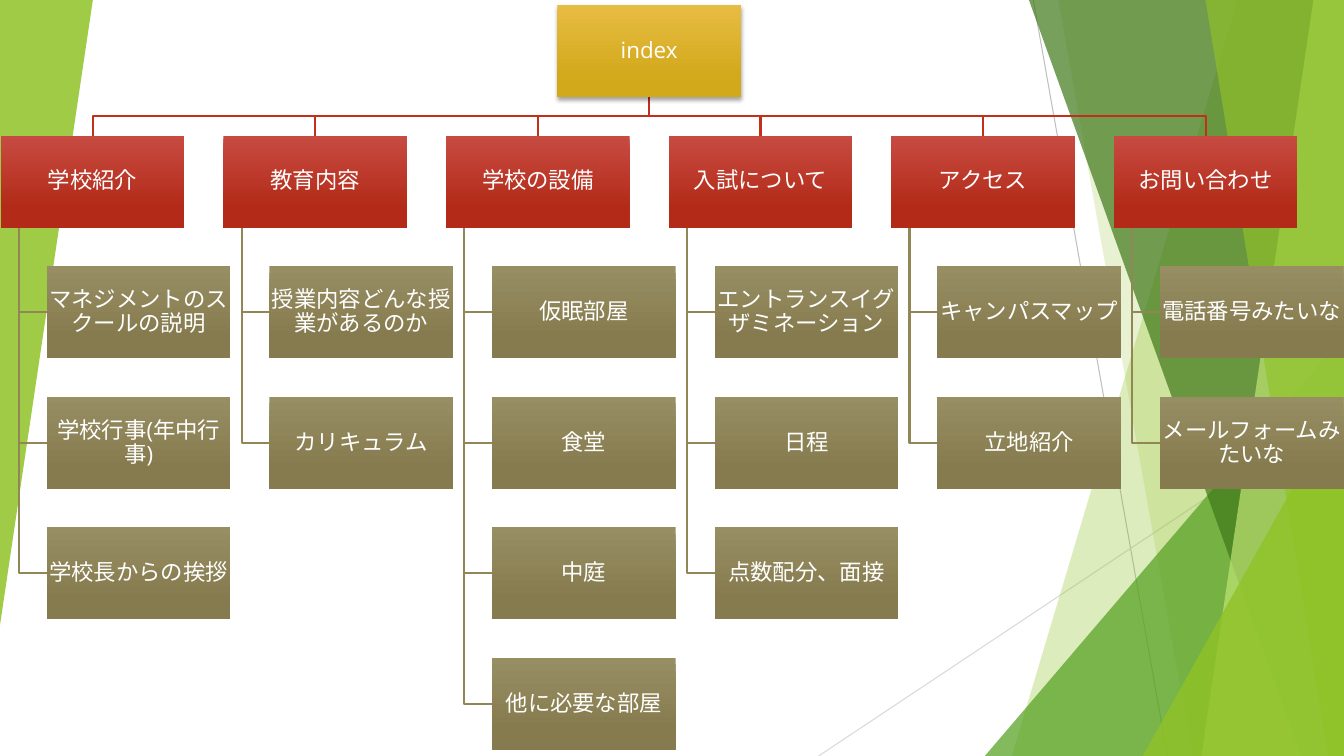
"""Build a school website site map as a three-level tree over green facets."""
from lxml import etree
from pptx import Presentation, util as u
from pptx.dml.color import RGBColor
from pptx.enum import lang, shapes, text
from pptx.oxml.ns import qn

ROOT = "index"
SECTIONS = {
    "学校紹介": ["マネジメントのスクールの説明", "学校行事(年中行事)", "学校長からの挨拶"],
    "教育内容": ["授業内容どんな授業があるのか", "カリキュラム"],
    "学校の設備": ["仮眠部屋", "食堂", "中庭", "他に必要な部屋"],
    "入試について": ["エントランスイグザミネーション", "日程", "点数配分、面接"],
    "アクセス": ["キャンパスマップ", "立地紹介"],
    "お問い合わせ": ["電話番号みたいな", "メールフォームみたいな"],
}
GOLD, RED, OLIVE = ("E7BC43", "D2A91B"), ("C74B42", "B32B18"), ("988E64", "857B4E")
RED_LINE, OLIVE_LINE = "C42F1A", "918655"

SLIDE_W, SLIDE_H = 33.87, 19.05
BOX_W, BOX_H = 4.63, 2.32
LEFT, COL_STEP, ROW_STEP = 0.02, 5.61, 3.29
ROOT_Y = 0.13
HEAD_Y = ROOT_Y + ROW_STEP
INDENT, TRUNK = 1.16, 0.46

RULES = [(26.04, 0, 29.42, SLIDE_H, "BFBFBF"), (SLIDE_W, 10.24, 20.63, SLIDE_H, "D9D9D9")]
FACETS = [
    ("band", 31.19, 25.5, "90C226", 30),
    ("band", 26.67, 30.05, "90C226", 20),
    ("corner", 24.82, 8.46, "54A021", 72),
    ("band", 25.93, 32.79, "3F7819", 70),
    ("band", 33.1, 30.28, "C0E474", 70),
    ("band", 30.38, 33.48, "90C226", 65),
    ("corner", 28.8, 9.98, "90C226", 80),
]


def color(value):
    return RGBColor.from_string(value)


def add_path(s, points, closed):
    (x, y), *rest = [(u.Cm(x), u.Cm(y)) for x, y in points]
    builder = s.shapes.build_freeform(x, y)
    builder.add_line_segments(rest, close=closed)
    sp = builder.convert_to_shape()
    sp.shadow.inherit = False
    return sp


def add_preset(s, kind, x, y, w, h):
    sp = s.shapes.add_shape(kind, u.Cm(x), u.Cm(y), u.Cm(w), u.Cm(h))
    sp.shadow.inherit = False
    sp.line.fill.background()
    return sp


def add_triangle(s, x, y, w, h):
    sp = add_preset(s, shapes.MSO_SHAPE.ISOSCELES_TRIANGLE, x, y, w, h)
    sp.adjustments[0] = 1
    return sp


def tint(sp, value, opacity):
    sp.line.fill.background()
    sp.fill.solid()
    sp.fill.fore_color.rgb = color(value)
    rgb = sp._element.spPr.find(qn("a:solidFill"))[0]
    etree.SubElement(rgb, qn("a:alpha"), val=str(opacity * 1000))


def add_rule(s, x1, y1, x2, y2, value):
    line = s.shapes.add_connector(
        shapes.MSO_CONNECTOR.STRAIGHT, u.Cm(x1), u.Cm(y1), u.Cm(x2), u.Cm(y2))
    line.line.color.rgb = color(value)
    line.line.width = u.Pt(0.75)
    etree.SubElement(line._element.spPr, qn("a:effectLst"))


def add_backdrop(s):
    for rule in RULES:
        add_rule(s, *rule)
    for kind, a, b, value, opacity in FACETS:
        if kind == "band":
            sp = add_path(s, [(a, 0), (SLIDE_W, 0), (SLIDE_W, SLIDE_H), (b, SLIDE_H)], True)
        else:
            sp = add_triangle(s, a, b, SLIDE_W - a, SLIDE_H - b)
        tint(sp, value, opacity)
    left = add_triangle(s, 0, 0, 2.34, 15.75)
    left.rotation = 180
    tint(left, "90C226", 85)


def add_branch(s, points, value):
    sp = add_path(s, points, False)
    sp.fill.background()
    sp.line.color.rgb = color(value)
    sp.line.width = u.Pt(1.5)


def add_box(s, label, x, y, shades):
    sp = add_preset(s, shapes.MSO_SHAPE.RECTANGLE, x, y, BOX_W, BOX_H)
    sp.fill.gradient()
    sp.fill.gradient_angle = 270
    for stop, position, shade in zip(sp.fill.gradient_stops, (0, 0.78), shades):
        stop.position = position
        stop.color.rgb = color(shade)
    tf = sp.text_frame
    tf.text = label
    tf.word_wrap = True
    tf.vertical_anchor = text.MSO_ANCHOR.MIDDLE
    tf.margin_left = tf.margin_right = tf.margin_top = tf.margin_bottom = u.Cm(0.03)
    p = tf.paragraphs[0]
    p.alignment = text.PP_ALIGN.CENTER
    p.line_spacing = 0.9
    font = p.runs[0].font
    font.name, font.size = "Open Sans", u.Pt(16)
    font.color.rgb = color("FFFFFF")
    font.language_id = lang.MSO_LANGUAGE_ID.JAPANESE
    return sp


def add_shadow(sp):
    effects = sp._element.spPr.find(qn("a:effectLst"))
    shadow = etree.SubElement(effects, qn("a:outerShdw"), blurRad=str(u.Pt(3)),
                              dist=str(u.Pt(2)), dir="5400000", rotWithShape="0")
    rgb = etree.SubElement(shadow, qn("a:srgbClr"), val="000000")
    etree.SubElement(rgb, qn("a:alpha"), val="35000")


def add_tree(s):
    root_x = LEFT + COL_STEP * (len(SECTIONS) - 1) / 2
    root_mid, root_end = root_x + BOX_W / 2, ROOT_Y + BOX_H
    bus_y = (root_end + HEAD_Y) / 2
    boxes = []
    for col, (section, pages) in enumerate(SECTIONS.items()):
        x = LEFT + col * COL_STEP
        mid, trunk = x + BOX_W / 2, x + TRUNK
        boxes.append((section, x, HEAD_Y, RED))
        add_branch(s, [(root_mid, root_end), (root_mid, bus_y), (mid, bus_y), (mid, HEAD_Y)],
                   RED_LINE)
        for row, page in enumerate(pages, 1):
            y = HEAD_Y + row * ROW_STEP
            boxes.append((page, x + INDENT, y, OLIVE))
            page_mid = y + BOX_H / 2
            add_branch(s, [(trunk, HEAD_Y + BOX_H), (trunk, page_mid), (x + INDENT, page_mid)],
                       OLIVE_LINE)
    add_shadow(add_box(s, ROOT, root_x, ROOT_Y, GOLD))
    for box in boxes:
        add_box(s, *box)


def main():
    prs = Presentation()
    prs.slide_width, prs.slide_height = u.Cm(SLIDE_W), u.Cm(SLIDE_H)
    s = prs.slides.add_slide(prs.slide_layouts[6])
    add_backdrop(s)
    add_tree(s)
    prs.save("out.pptx")


if __name__ == "__main__":
    main()
